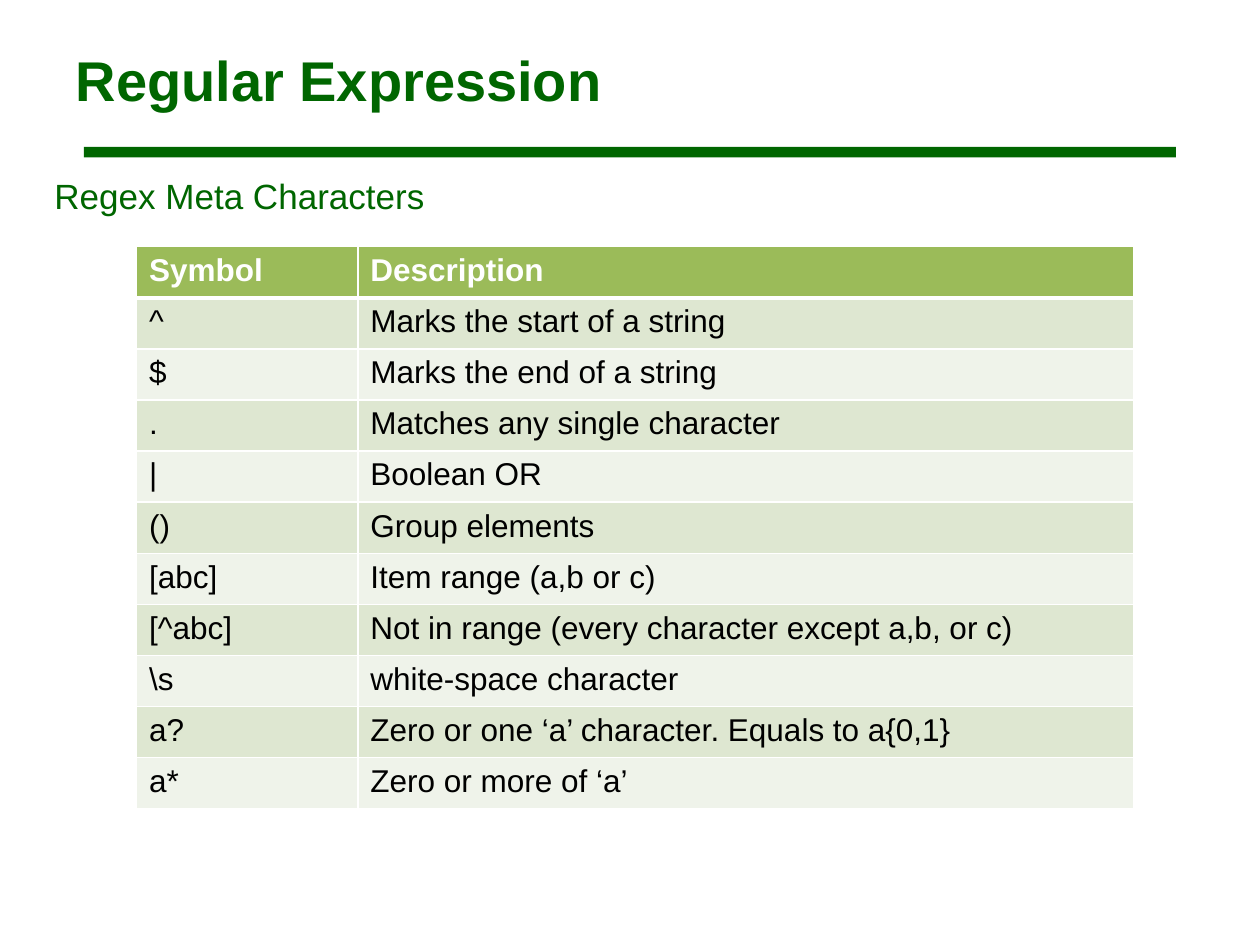
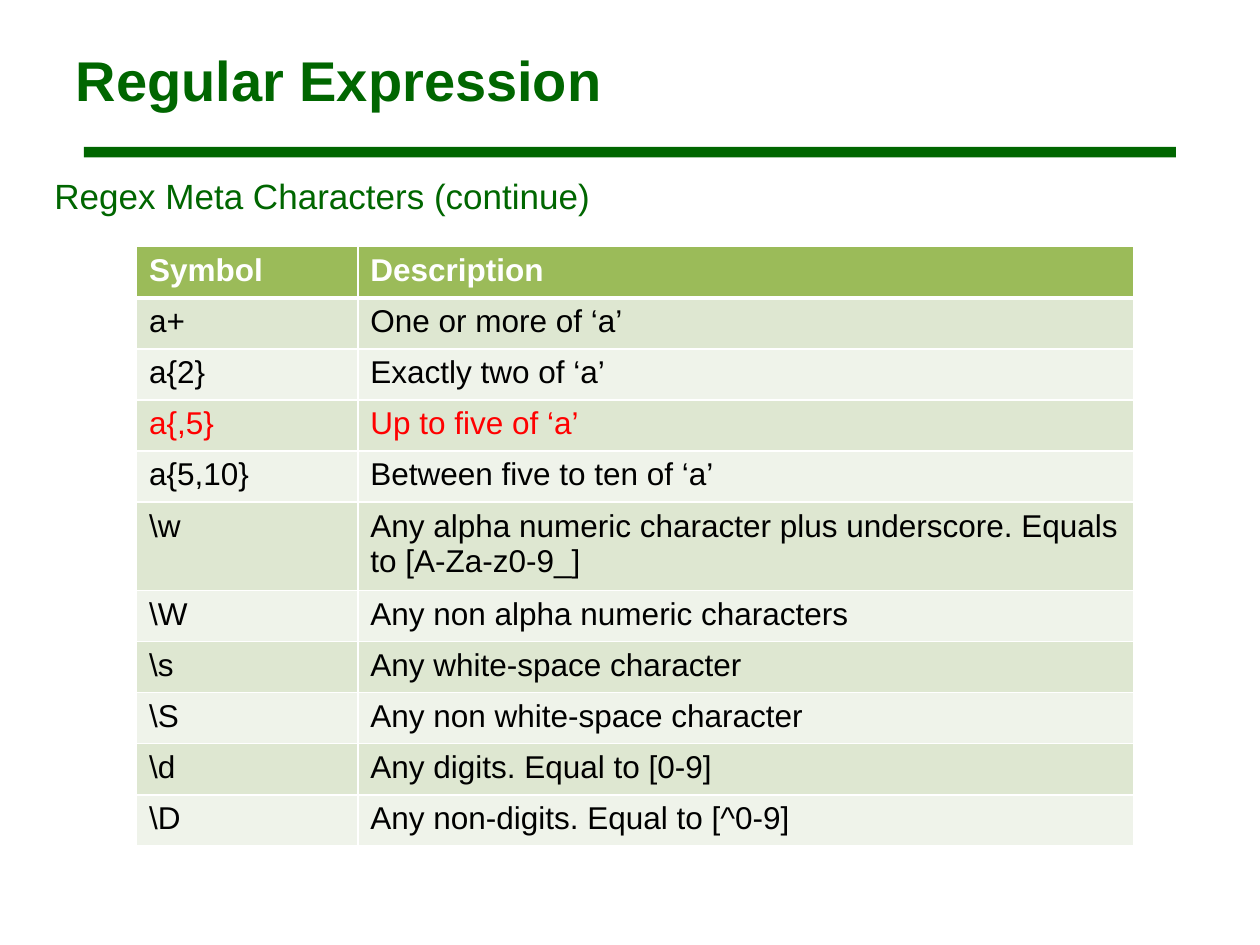
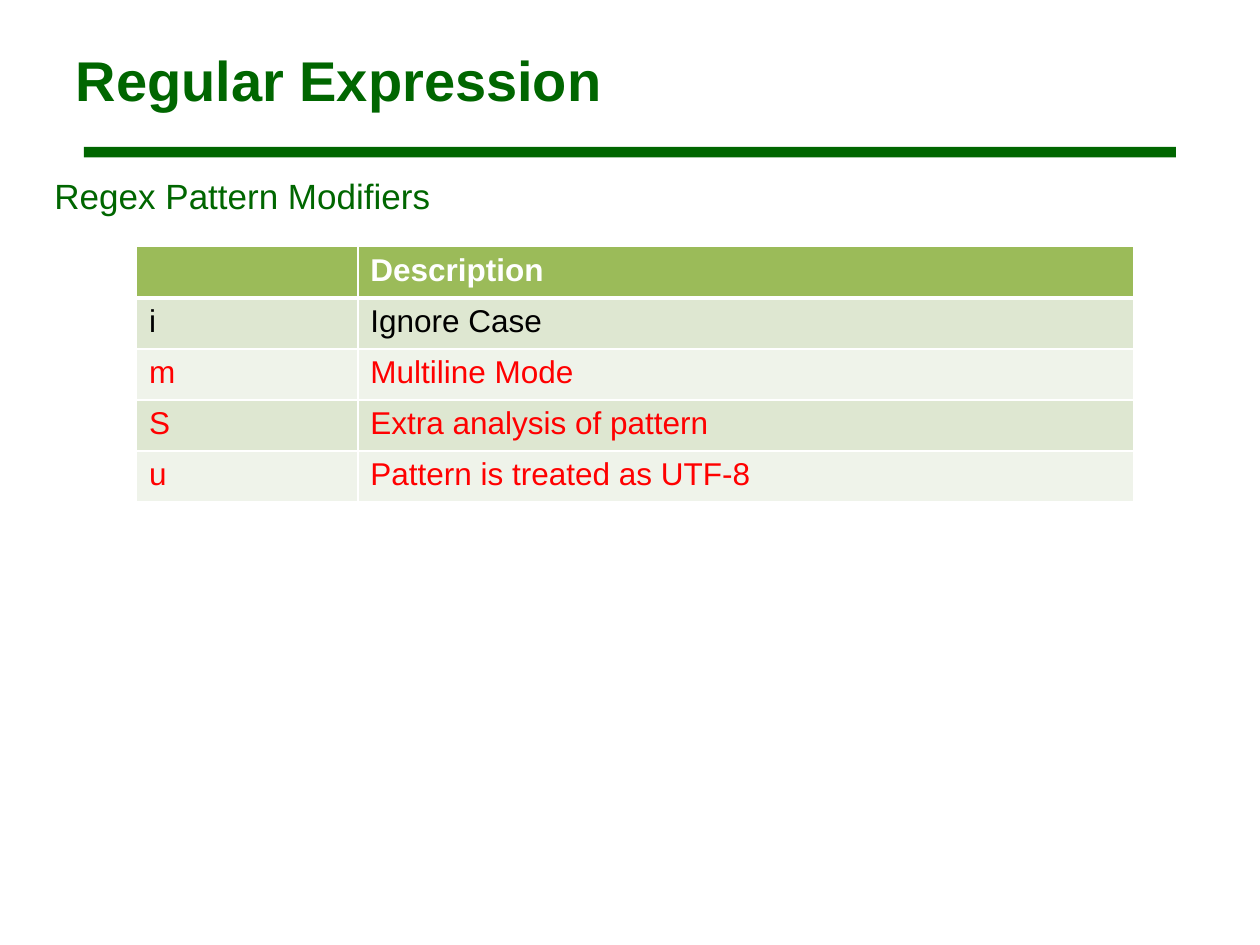
from dataclasses import dataclass

from lxml import etree
from pptx import Presentation
from pptx.dml.color import RGBColor
from pptx.enum.shapes import MSO_SHAPE
from pptx.enum.text import MSO_ANCHOR, PP_ALIGN
from pptx.oxml.ns import qn
from pptx.util import Pt

RECTANGLE = MSO_SHAPE.RECTANGLE
LEFT = PP_ALIGN.LEFT
TOP, MIDDLE = MSO_ANCHOR.TOP, MSO_ANCHOR.MIDDLE
TITLE_ONLY = 5


@dataclass(frozen=True)
class Theme:
    font: str = "Arial"
    title_size: int = 32
    subtitle_size: int = 20
    cell_size: int = 18
    green: str = "006600"
    header: str = "9BBB59"
    bands: tuple = ("DEE7D1", "EFF3EA")
    white: str = "FFFFFF"
    black: str = "000000"
    red: str = "FF0000"


# Places in points: left, top, width, height
TITLE_PLACE = (36, 12, 648, 66)
RULE_PLACE = (48, 84, 624, 6)
SUBTITLE_PLACE = (24, 96, 408, 36)
TABLE_LEFT, TABLE_TOP = 78, 141
COLUMN_WIDTHS = (126.5, 443.5)
ROW_HEIGHT = 29.2
THIN, THICK = 1, 3
HANGING = 27

# Wording: subtitle, column heads, rows, symbols of the rows set in red
PAGES = [
    ("Regex Meta Characters", ("Symbol", "Description"), [
        ("^", "Marks the start of a string"),
        ("$", "Marks the end of a string"),
        (".", "Matches any single character"),
        ("|", "Boolean OR"),
        ("()", "Group elements"),
        ("[abc]", "Item range (a,b or c)"),
        ("[^abc]", "Not in range (every character except a,b, or c)"),
        (r"\s", "white-space character"),
        ("a?", "Zero or one ‘a’ character. Equals to a{0,1}"),
        ("a*", "Zero or more of ‘a’"),
    ], ()),
    ("Regex Meta Characters (continue)", ("Symbol", "Description"), [
        ("a+", "One or more of ‘a’"),
        ("a{2}", "Exactly two of ‘a’"),
        ("a{,5}", "Up to five of ‘a’"),
        ("a{5,10}", "Between five to ten of ‘a’"),
        (r"\w", "Any alpha numeric character plus underscore. "
                "Equals to [A-Za-z0-9_]"),
        (r"\W", "Any non alpha numeric characters"),
        (r"\s", "Any white-space character"),
        (r"\S", "Any non white-space character"),
        (r"\d", "Any digits. Equal to [0-9]"),
        (r"\D", "Any non-digits. Equal to [^0-9]"),
    ], ("a{,5}",)),
    ("Regex Pattern Modifiers", ("", "Description"), [
        ("i", "Ignore Case"),
        ("m", "Multiline Mode"),
        ("S", "Extra analysis of pattern"),
        ("u", "Pattern is treated as UTF-8"),
    ], ("m", "S", "u")),
]


def set_all(target, values):
    for name, value in values.items():
        setattr(target, name, value)


class PageBuilder:
    def __init__(self, deck, theme):
        self.deck = deck
        self.theme = theme
        self.page = None

    def new_page(self):
        self.page = self.deck.slides.add_slide(self.deck.slide_layouts[TITLE_ONLY])

    def add_span(self, frame, text, size, color, bold=False):
        """Put one formatted span into the frame's first paragraph."""
        para = frame.paragraphs[0]
        para.alignment = LEFT
        if text:
            span = para.add_run()
            span.text = text
            set_all(span.font, {"name": self.theme.font, "size": Pt(size), "bold": bold})
            span.font.color.rgb = RGBColor.from_string(color)
        return para

    def title(self, text):
        box = self.page.shapes.title
        set_all(box, dict(zip(("left", "top", "width", "height"), map(Pt, TITLE_PLACE))))
        set_all(box.text_frame, {"word_wrap": True, "vertical_anchor": MIDDLE})
        self.add_span(box.text_frame, text, self.theme.title_size, self.theme.green, True)

    def rule(self):
        bar = self.page.shapes.add_shape(RECTANGLE, *map(Pt, RULE_PLACE))
        bar.shadow.inherit = False
        bar.fill.solid()
        bar.fill.fore_color.rgb = RGBColor.from_string(self.theme.green)
        bar.line.fill.background()

    def subtitle(self, text):
        box = self.page.shapes.add_textbox(*map(Pt, SUBTITLE_PLACE))
        set_all(box.text_frame, {"word_wrap": True, "vertical_anchor": TOP})
        size = self.theme.subtitle_size
        para = self.add_span(box.text_frame, text, size, self.theme.green)
        para.space_before = Pt(size * 0.2)
        properties = para._p.get_or_add_pPr()
        properties.set("marL", str(Pt(HANGING)))
        properties.set("indent", str(-Pt(HANGING)))

    def borders(self, cell, top, bottom):
        properties = cell._tc.get_or_add_tcPr()
        sides = {"a:lnL": THIN, "a:lnR": THIN, "a:lnT": top, "a:lnB": bottom}
        for place, (side, width) in enumerate(sides.items()):
            line = etree.Element(qn(side), w=str(Pt(width)))
            fill = etree.SubElement(line, qn("a:solidFill"))
            etree.SubElement(fill, qn("a:srgbClr"), val=self.theme.white)
            properties.insert(place, line)

    def table(self, heads, rows, red_symbols):
        theme = self.theme
        lines = [heads, *rows]
        table = self.page.shapes.add_table(
            len(lines), len(heads), Pt(TABLE_LEFT), Pt(TABLE_TOP),
            Pt(sum(COLUMN_WIDTHS)), Pt(ROW_HEIGHT * len(lines))).table
        for column, width in zip(table.columns, COLUMN_WIDTHS):
            column.width = Pt(width)
        for index, texts in enumerate(lines):
            table.rows[index].height = Pt(ROW_HEIGHT)
            is_head = index == 0
            fill = theme.header if is_head else theme.bands[(index - 1) % 2]
            body_color = theme.red if texts[0] in red_symbols else theme.black
            color = theme.white if is_head else body_color
            for cell, text in zip(table.rows[index].cells, texts):
                cell.fill.solid()
                cell.fill.fore_color.rgb = RGBColor.from_string(fill)
                self.add_span(cell.text_frame, text, theme.cell_size, color, is_head)
                # The thick line under the heads belongs to both rows it parts
                self.borders(cell, THICK if index == 1 else THIN,
                             THICK if is_head else THIN)


def main():
    deck = Presentation()
    set_all(deck, {"slide_width": Pt(720), "slide_height": Pt(540)})
    builder = PageBuilder(deck, Theme())
    for subtitle, heads, rows, red_symbols in PAGES:
        builder.new_page()
        builder.rule()
        builder.title("Regular Expression")
        builder.subtitle(subtitle)
        builder.table(heads, rows, red_symbols)
    deck.save("out.pptx")


if __name__ == "__main__":
    main()
